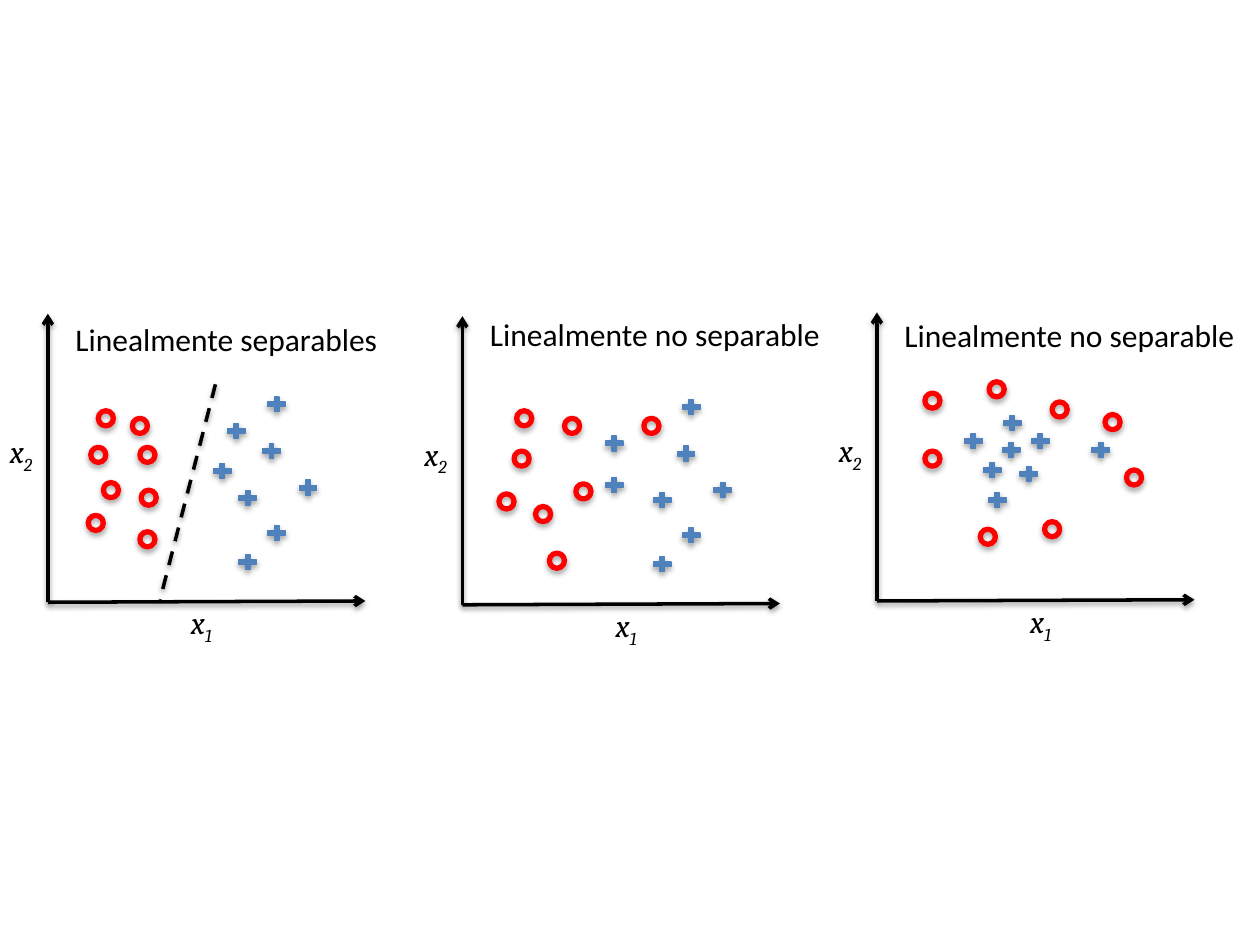
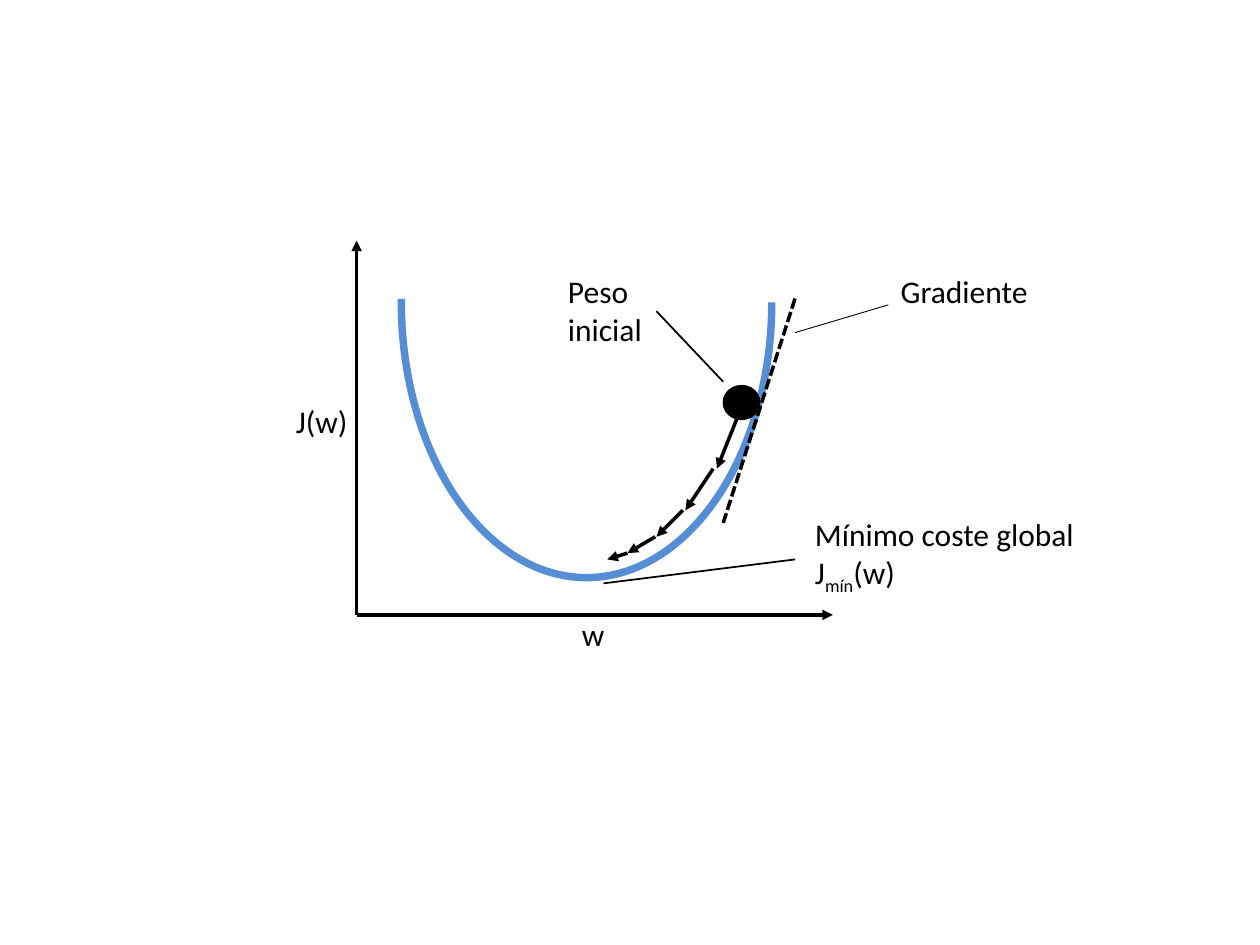
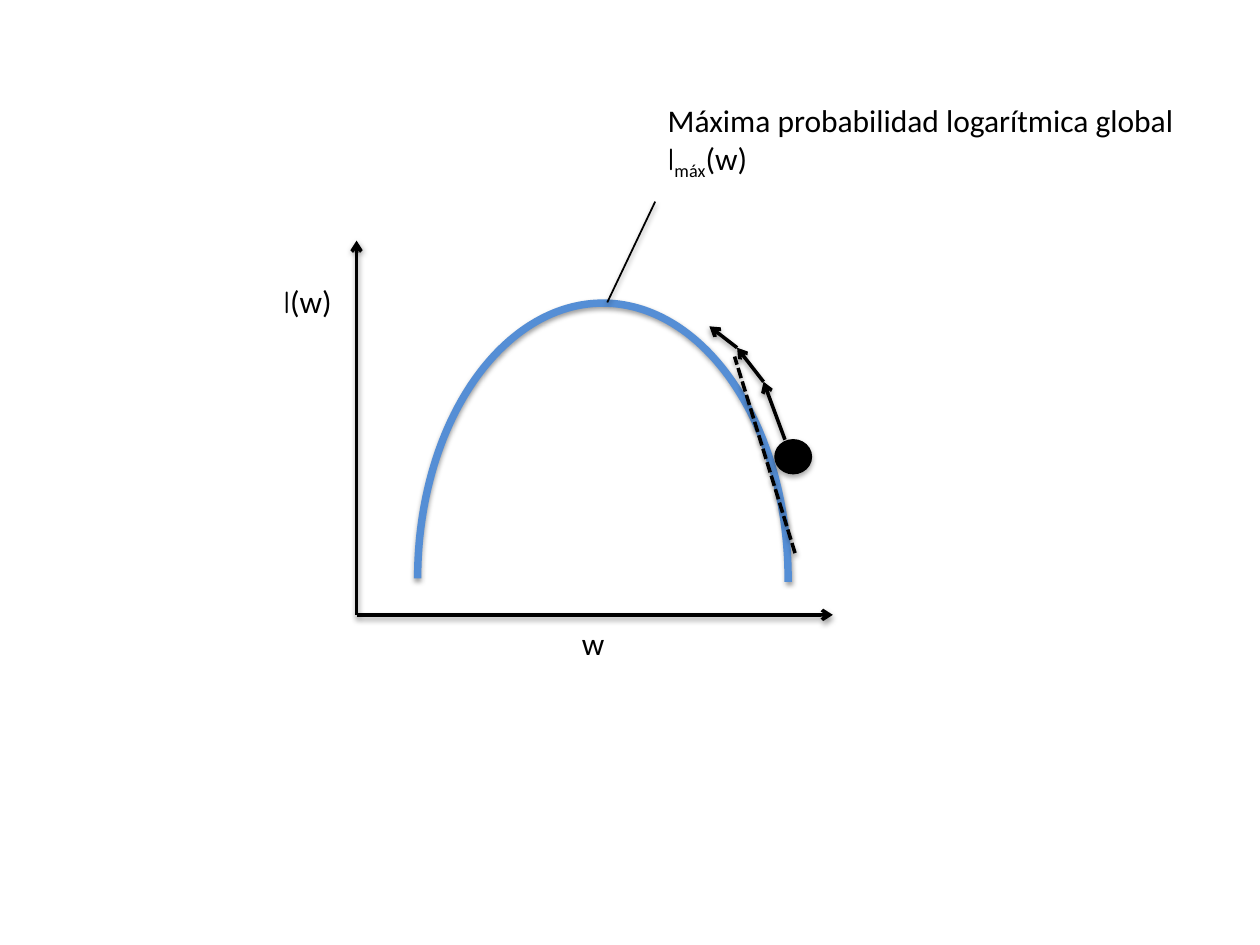
from dataclasses import dataclass

from lxml.etree import SubElement
from pptx import Presentation
from pptx.dml.color import RGBColor
from pptx.enum.dml import MSO_LINE
from pptx.enum.shapes import MSO_CONNECTOR, MSO_SHAPE
from pptx.enum.text import MSO_AUTO_SIZE, PP_ALIGN
from pptx.oxml.ns import qn
from pptx.util import Inches, Pt


@dataclass(frozen=True)
class Theme:
    black: str = "000000"
    red: str = "FF0000"
    cross_blue: str = "4F81BD"
    curve_blue: str = "558ED5"
    body_font: str = "Calibri"
    symbol_font: str = "Cambria"
    script_font: str = "Comic Neue"
    text_size: float = 18
    hairline: float = 0.5
    outline: float = 0.75
    leader: float = 1
    stroke: float = 2
    ring: float = 3
    curve: float = 4.25
    # Shadow: distance in points, opacity in percent
    shadow_blur: float = 3.1
    line_shadow: tuple = (1.6, 38)
    shape_shadow: tuple = (1.8, 35)


@dataclass(frozen=True)
class Panel:
    """A scatter plot; marker positions are (right, up) from its origin."""
    origin: tuple
    caption: str
    caption_up: float
    caption_width: float
    x1_center: float
    crosses: tuple
    rings: tuple


THEME = Theme()
SUBSCRIPT = {"subscript": True}
SCRIPT = {"font": THEME.script_font}

RIGHT_GROUP = ((1.49, 0.40), (1.97, 0.99), (1.49, 0.91),
               (1.68, 1.28), (1.72, 0.63), (1.72, 1.65))
PANELS = (
    Panel((0.38, 4.78), "Linealmente separables", 2.29, 2.78, 1.22,
          RIGHT_GROUP + ((1.40, 1.44), (1.29, 1.12)),
          ((0.40, 1.52), (0.67, 1.46), (0.34, 1.23), (0.73, 1.23),
           (0.44, 0.95), (0.74, 0.89), (0.32, 0.69), (0.73, 0.56))),
    Panel((3.67, 4.80), "Linealmente no separable", 2.35, 3.03, 1.30,
          RIGHT_GROUP + ((1.11, 1.36), (1.11, 1.03)),
          ((1.44, 1.48), (0.43, 1.54), (0.81, 1.48), (0.41, 1.22),
           (0.58, 0.78), (0.90, 0.96), (0.29, 0.88), (0.69, 0.41))),
    Panel((6.96, 4.77), "Linealmente no separable", 2.31, 2.93, 1.30,
          ((0.82, 1.12), (0.98, 1.49), (1.68, 1.28), (1.20, 1.35),
           (1.11, 1.09), (0.67, 1.35), (0.97, 1.28), (0.86, 0.88)),
          ((0.38, 1.65), (0.38, 1.19), (0.89, 1.74), (1.39, 1.58),
           (1.81, 1.48), (1.98, 1.04), (1.33, 0.63), (0.82, 0.57))),
)


def add_run(paragraph, text, font=THEME.body_font, size=THEME.text_size,
            color=THEME.black, italic=None, subscript=False):
    run = paragraph.add_run()
    run.text = text
    run.font.name = font
    run.font.size = Pt(size)
    run.font.italic = italic
    run.font.color.rgb = RGBColor.from_string(color)
    if subscript:
        run.font._element.set("baseline", "-25000")


class Sketch:
    """Draws elements in the theme's style on the current slide."""

    def __init__(self, presentation, theme):
        self.presentation = presentation
        self.theme = theme
        self.slide = None
        self.shadowed = True
        self.arrowhead = "arrow"

    def new_slide(self, shadowed=True, arrowhead="arrow"):
        blank_layout = self.presentation.slide_layouts[6]
        self.slide = self.presentation.slides.add_slide(blank_layout)
        self.shadowed = shadowed
        self.arrowhead = arrowhead

    def set_shadow(self, shape, shadow):
        effects = SubElement(shape._element.spPr, qn("a:effectLst"))
        if not self.shadowed:
            return
        distance, opacity = shadow
        outer = SubElement(effects, qn("a:outerShdw"), {
            "blurRad": str(Pt(self.theme.shadow_blur)),
            "dist": str(Pt(distance)), "dir": "5400000", "rotWithShape": "0"})
        color = SubElement(outer, qn("a:srgbClr"), val=self.theme.black)
        SubElement(color, qn("a:alpha"), val=str(opacity * 1000))

    def line(self, start, end, width=THEME.stroke, dash=None, arrow=False):
        connector = self.slide.shapes.add_connector(
            MSO_CONNECTOR.STRAIGHT, *map(Inches, start + end))
        connector.line.color.rgb = RGBColor.from_string(self.theme.black)
        connector.line.width = Pt(width)
        if dash:
            connector.line.dash_style = dash
        if arrow:
            SubElement(connector.line._get_or_add_ln(), qn("a:tailEnd"),
                       type=self.arrowhead)
        self.set_shadow(connector, self.theme.line_shadow)

    def axes(self, origin, up, right, drop=0.0):
        x, y = origin
        self.line(origin, (x, y - up), arrow=True)
        self.line(origin, (x + right, y - drop), arrow=True)

    def shape(self, kind, left, top, width, height, line_color, line_width,
              fill=None, adjustments=(), rotation=0, shadow=THEME.shape_shadow):
        shape = self.slide.shapes.add_shape(
            kind, *map(Inches, (left, top, width, height)))
        for index, value in enumerate(adjustments):
            shape.adjustments[index] = value
        shape.rotation = rotation
        if fill:
            shape.fill.solid()
            shape.fill.fore_color.rgb = RGBColor.from_string(fill)
        else:
            shape.fill.background()
        shape.line.color.rgb = RGBColor.from_string(line_color)
        shape.line.width = Pt(line_width)
        self.set_shadow(shape, shadow)

    def cross(self, left, top):
        blue = self.theme.cross_blue
        self.shape(MSO_SHAPE.MATH_PLUS, left, top, 0.19, 0.16, blue,
                   self.theme.outline, fill=blue, adjustments=(0.233,))

    def ring(self, left, top):
        self.shape(MSO_SHAPE.OVAL, left, top, 0.12, 0.12,
                   self.theme.red, self.theme.ring)

    def ball(self, left, top):
        black = self.theme.black
        self.shape(MSO_SHAPE.OVAL, left, top, 0.29, 0.27, black,
                   self.theme.outline, fill=black)

    def curve(self, left, top, rotation):
        self.shape(MSO_SHAPE.ARC, left, top, 4.37, 2.94,
                   self.theme.curve_blue, self.theme.curve,
                   adjustments=(162, 54.637), rotation=rotation,
                   shadow=self.theme.line_shadow)

    def text(self, left, top, width, *paragraphs, align=None):
        """Each paragraph is a string or a list of (text, format) runs."""
        height = 0.4 if len(paragraphs) == 1 else 0.71
        box = self.slide.shapes.add_textbox(
            *map(Inches, (left, top, width, height)))
        frame = box.text_frame
        frame.word_wrap = True
        frame.auto_size = MSO_AUTO_SIZE.SHAPE_TO_FIT_TEXT
        for index, content in enumerate(paragraphs):
            paragraph = frame.add_paragraph() if index else frame.paragraphs[0]
            paragraph.alignment = align
            runs = [(content, {})] if isinstance(content, str) else content
            for text, style in runs:
                add_run(paragraph, text, **style)

    def variable(self, left, top, width, number, align=None):
        style = {"font": self.theme.symbol_font, "italic": True}
        self.text(left, top, width,
                  [("x", style), (number, style | SUBSCRIPT)], align=align)


def draw_panel(sketch, panel):
    x, y = panel.origin
    sketch.axes(panel.origin, up=2.29, right=2.52, drop=0.01)
    sketch.variable(x + panel.x1_center - 1.15, y - 0.04, 2.3, "1",
                    align=PP_ALIGN.CENTER)
    sketch.variable(x - 0.4, y - 1.4, 0.76, "2")
    sketch.text(x + 0.12, y - panel.caption_up, panel.caption_width,
                panel.caption)
    for right, up in panel.crosses:
        sketch.cross(x + right, y - up)
    for right, up in panel.rings:
        sketch.ring(x + right, y - up)


def draw_separability(sketch):
    sketch.new_slide()
    for panel in PANELS:
        draw_panel(sketch, panel)
    # Boundary between the two classes
    sketch.line((1.71, 3.05), (1.27, 4.76), dash=MSO_LINE.DASH)


def draw_gradient_descent(sketch):
    sketch.new_slide(shadowed=False, arrowhead="triangle")
    # Axes
    sketch.axes((2.83, 4.88), up=2.97, right=3.78)
    sketch.text(2.25, 3.14, 1.03, "J(w)")
    sketch.text(4.52, 4.83, 1.03, "w")
    # Global minimum
    sketch.text(6.37, 4.04, 2.76, "Mínimo coste global",
                [("J", {}), ("mín", SUBSCRIPT), ("(w)", {})])
    sketch.line((6.31, 4.44), (4.79, 4.63), THEME.leader)
    # Cost curve and descent steps
    sketch.curve(2.47, 0.93, rotation=90)
    sketch.ball(5.74, 3.06)
    for start, end in (((5.91, 3.17), (5.69, 3.72)),
                       ((5.66, 3.72), (5.44, 4.05)),
                       ((5.42, 4.05), (5.21, 4.26)),
                       ((5.20, 4.26), (4.98, 4.39)),
                       ((4.98, 4.39), (4.82, 4.44))):
        sketch.line(start, end, arrow=True)
    # Initial weight
    sketch.line((5.74, 3.03), (5.21, 2.47), THEME.leader)
    sketch.text(4.41, 2.11, 1.03, "Peso inicial")
    # Gradient
    sketch.line((6.31, 2.64), (7.05, 2.42), THEME.hairline)
    sketch.text(7.05, 2.11, 1.45, "Gradiente")
    sketch.line((6.31, 2.37), (5.74, 4.15), dash=MSO_LINE.SQUARE_DOT)


def draw_gradient_ascent(sketch):
    sketch.new_slide()
    # Axes
    sketch.axes((2.83, 4.88), up=2.97, right=3.78)
    sketch.text(2.15, 2.19, 1.03, [("l", SCRIPT), ("(w)", {})])
    sketch.text(4.52, 4.9, 1.03, "w")
    # Global maximum
    sketch.text(5.2, 0.75, 4.45, "Máxima probabilidad logarítmica global",
                [("l", SCRIPT), ("máx", SUBSCRIPT), ("(w)", {})])
    # Likelihood curve and ascent steps
    sketch.curve(2.6, 3.12, rotation=270)
    sketch.ball(6.15, 3.49)
    steps = ((6.23, 3.49), (6.06, 3.03), (5.85, 2.76), (5.63, 2.59))
    for start, end in zip(steps, steps[1:]):
        sketch.line(start, end, arrow=True)
    sketch.line((4.82, 2.4), (5.2, 1.6), THEME.leader)
    # Gradient
    sketch.line((6.31, 4.39), (5.83, 2.83), dash=MSO_LINE.SQUARE_DOT)


def main():
    presentation = Presentation()
    presentation.slide_width = Inches(10)
    presentation.slide_height = Inches(7.5)
    sketch = Sketch(presentation, THEME)
    draw_separability(sketch)
    draw_gradient_descent(sketch)
    draw_gradient_ascent(sketch)
    presentation.save("out.pptx")


if __name__ == "__main__":
    main()
